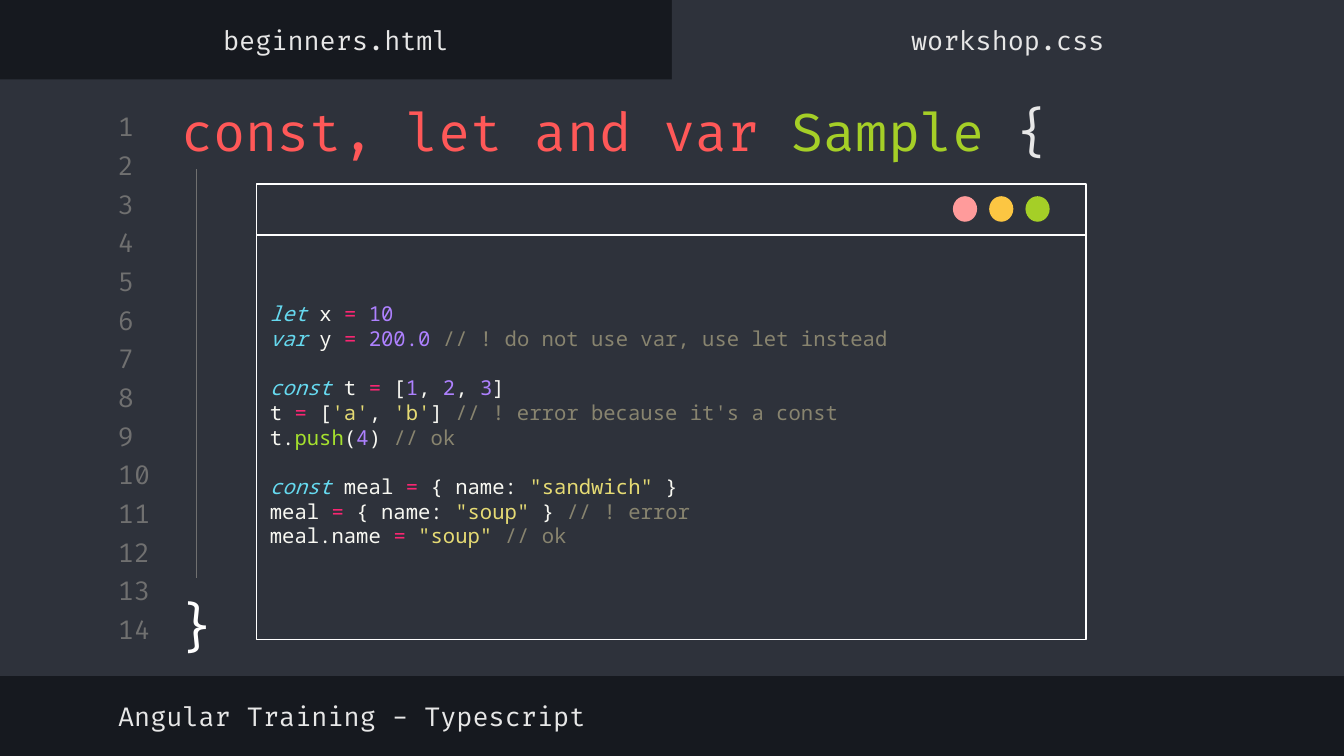
import pptx
import pptx.util
import pptx.dml.color
import pptx.enum.shapes
import pptx.enum.text
import pptx.oxml

Inches, Pt = pptx.util.Inches, pptx.util.Pt
RGBColor = pptx.dml.color.RGBColor
SHAPE = pptx.enum.shapes.MSO_SHAPE
ANCHOR = pptx.enum.text.MSO_ANCHOR
ALIGN = pptx.enum.text.PP_ALIGN

W = 10
H = W * 9 / 16
FONT, CODE_FONT = "Fira Code", "Noto Sans Mono"

DARK = RGBColor(0x16, 0x19, 0x1F)
PANEL = RGBColor(0x2E, 0x32, 0x3B)
GREY = RGBColor(0x70, 0x70, 0x70)
LIGHT = RGBColor(0xE7, 0xE7, 0xE7)
WHITE = RGBColor(0xFF, 0xFF, 0xFF)
RED = RGBColor(0xFF, 0x58, 0x58)
PINK = RGBColor(0xFF, 0x9B, 0x9B)
YELLOW = RGBColor(0xFC, 0xC6, 0x42)
GREEN = RGBColor(0xA5, 0xCF, 0x27)

# Syntax colours of the code sample
KEYWORD = RGBColor(0x66, 0xD9, 0xEF)
PLAIN = RGBColor(0xF8, 0xF8, 0xF2)
OPERATOR = RGBColor(0xF9, 0x26, 0x72)
NUMBER = RGBColor(0xAE, 0x81, 0xFF)
STRING = RGBColor(0xE6, 0xDB, 0x74)
CALL = RGBColor(0xA6, 0xE2, 0x2E)
COMMENT = RGBColor(0x88, 0x84, 0x6F)

TITLE = [("const, let and var ", RED), ("Sample ", GREEN), ("{", LIGHT)]
TABS = ["beginners.html", "workshop.css"]
FOOTER = "Angular Training - Typescript"
LINE_COUNT = 14
BUTTONS = [PINK, YELLOW, GREEN]

# Blocks of code lines; a gap of one line separates the blocks
CODE = [
    [
        [("let", KEYWORD), (" x ", PLAIN), ("= ", OPERATOR), ("10", NUMBER)],
        [("var", KEYWORD), (" y ", PLAIN), ("= ", OPERATOR), ("200.0 ", NUMBER),
         ("// ! do not use var, use let instead", COMMENT)],
    ],
    [
        [("const", KEYWORD), (" t ", PLAIN), ("=", OPERATOR), (" [", PLAIN),
         ("1", NUMBER), (", ", PLAIN), ("2", NUMBER), (", ", PLAIN),
         ("3", NUMBER), ("]", PLAIN)],
        [("t ", PLAIN), ("=", OPERATOR), (" [", PLAIN), ("'a'", STRING),
         (", ", PLAIN), ("'b'", STRING), ("] ", PLAIN),
         ("// ! error because it's a const", COMMENT)],
        [("t.", PLAIN), ("push", CALL), ("(", PLAIN), ("4", NUMBER),
         (") ", PLAIN), ("// ok", COMMENT)],
    ],
    [
        [("const", KEYWORD), (" meal ", PLAIN), ("=", OPERATOR),
         (" { name: ", PLAIN), ('"sandwich"', STRING), (" }", PLAIN)],
        [("meal ", PLAIN), ("=", OPERATOR), (" { name: ", PLAIN),
         ('"soup"', STRING), (" } ", PLAIN), ("// ! error", COMMENT)],
        [("meal.name ", PLAIN), ("= ", OPERATOR), ('"soup" ', STRING),
         ("// ok", COMMENT)],
    ],
]

MARGIN = 0.78
NUMBER_TOP, NUMBER_BOTTOM = 0.82, 4.56
NUMBER_PITCH = (NUMBER_BOTTOM - NUMBER_TOP) / (LINE_COUNT - 1)
WINDOW_X, WINDOW_W = 1.91, 6.17
BAR_TOP, BAR_H = 1.37, 0.38
CODE_TOP, CODE_H = 1.74, 3.02
CODE_PITCH = Pt(13.2)
BUTTON_X, BUTTON_Y, BUTTON_PITCH = 7.09, 1.46, 0.27


def box(*lengths):
    return [Inches(n) for n in lengths]


def add_shape(slide, kind, at, fill, line=None):
    sp = slide.shapes.add_shape(kind, *box(*at))
    sp.shadow.inherit = False
    sp.fill.solid()
    sp.fill.fore_color.rgb = fill
    if line is None:
        sp.line.fill.background()
    else:
        sp.line.color.rgb = line
        sp.line.width = Pt(0.75)
    return sp


def set_frame(tf, anchor):
    tf.word_wrap = True
    tf.auto_size = pptx.enum.text.MSO_AUTO_SIZE.NONE
    tf.vertical_anchor = anchor
    tf.margin_left = tf.margin_right = Inches(0.1)
    tf.margin_top = tf.margin_bottom = Inches(0.1)


def add_runs(p, runs, font, size, align=ALIGN.LEFT):
    p.alignment = align
    p.font.name = font
    p.font.size = Pt(size)
    for text, color in runs:
        r = p.add_run()
        r.text = text
        r.font.color.rgb = color
        if color == KEYWORD:
            r.font.italic = True


def add_label(slide, text, at, color, size=14, align=ALIGN.LEFT, anchor=ANCHOR.MIDDLE):
    tf = slide.shapes.add_textbox(*box(*at)).text_frame
    set_frame(tf, anchor)
    add_runs(tf.paragraphs[0], [(text, color)], FONT, size, align)


def add_editor(slide):
    add_shape(slide, SHAPE.RECTANGLE, (0, 0.59, W, 4.44), PANEL)
    add_shape(slide, SHAPE.RECTANGLE, (W / 2, 0, W / 2, 0.69), PANEL)
    for i in range(LINE_COUNT):
        top = NUMBER_TOP + i * NUMBER_PITCH
        add_label(slide, str(i + 1), (MARGIN, top, 0.47, 0.24), GREY)


def add_title(slide):
    """Fill the title placeholder and raise it above the editor panels."""
    title = slide.shapes.title
    title.element.getparent().append(title.element)
    title.left, title.top, title.width, title.height = box(1.25, 0.64, 7.97, 0.59)
    set_frame(title.text_frame, ANCHOR.TOP)
    add_runs(title.text_frame.paragraphs[0], TITLE, FONT, 28)


def add_closing_brace(slide):
    add_label(slide, "}", (1.19, 4.32, 0.55, 0.67), WHITE, 28, ALIGN.CENTER, ANCHOR.TOP)
    guide = slide.shapes.add_connector(
        pptx.enum.shapes.MSO_CONNECTOR.STRAIGHT, *box(1.46, 1.26, 1.46, 4.3))
    guide.line.color.rgb = GREY
    guide.line.width = Pt(0.75)
    sp_pr = guide.element.spPr
    sp_pr.append(pptx.oxml.parse_xml(
        '<a:effectLst xmlns:a="http://schemas.openxmlformats.org/drawingml/2006/main"/>'))


def add_file_names(slide):
    add_label(slide, FOOTER, (MARGIN, 5.13, 5.32, 0.39), LIGHT)
    for i, name in enumerate(TABS):
        add_label(slide, name, (i * W / 2, 0.1, W / 2, 0.39), LIGHT, align=ALIGN.CENTER)


def add_code_window(slide):
    sp = add_shape(slide, SHAPE.RECTANGLE, (WINDOW_X, CODE_TOP, WINDOW_W, CODE_H), PANEL, WHITE)
    tf = sp.text_frame
    set_frame(tf, ANCHOR.MIDDLE)
    tf.margin_bottom = Inches(0.28)
    p = None
    for block in CODE:
        for i, line in enumerate(block):
            first = p is None
            p = tf.paragraphs[0] if first else tf.add_paragraph()
            p.line_spacing = CODE_PITCH
            if i == 0 and not first:
                p.space_before = CODE_PITCH
            add_runs(p, line, CODE_FONT, 11)

    add_shape(slide, SHAPE.RECTANGLE, (WINDOW_X, BAR_TOP, WINDOW_W, BAR_H), PANEL, WHITE)
    for i, color in enumerate(BUTTONS):
        left = BUTTON_X + i * BUTTON_PITCH
        add_shape(slide, SHAPE.OVAL, (left, BUTTON_Y, 0.18, 0.19), color)


def main():
    prs = pptx.Presentation()
    prs.slide_width, prs.slide_height = box(W, H)
    slide = prs.slides.add_slide(prs.slide_layouts.get_by_name("Title Only"))
    slide.background.fill.solid()
    slide.background.fill.fore_color.rgb = DARK
    add_editor(slide)
    add_title(slide)
    add_closing_brace(slide)
    add_file_names(slide)
    add_code_window(slide)
    prs.save("out.pptx")


if __name__ == "__main__":
    main()
